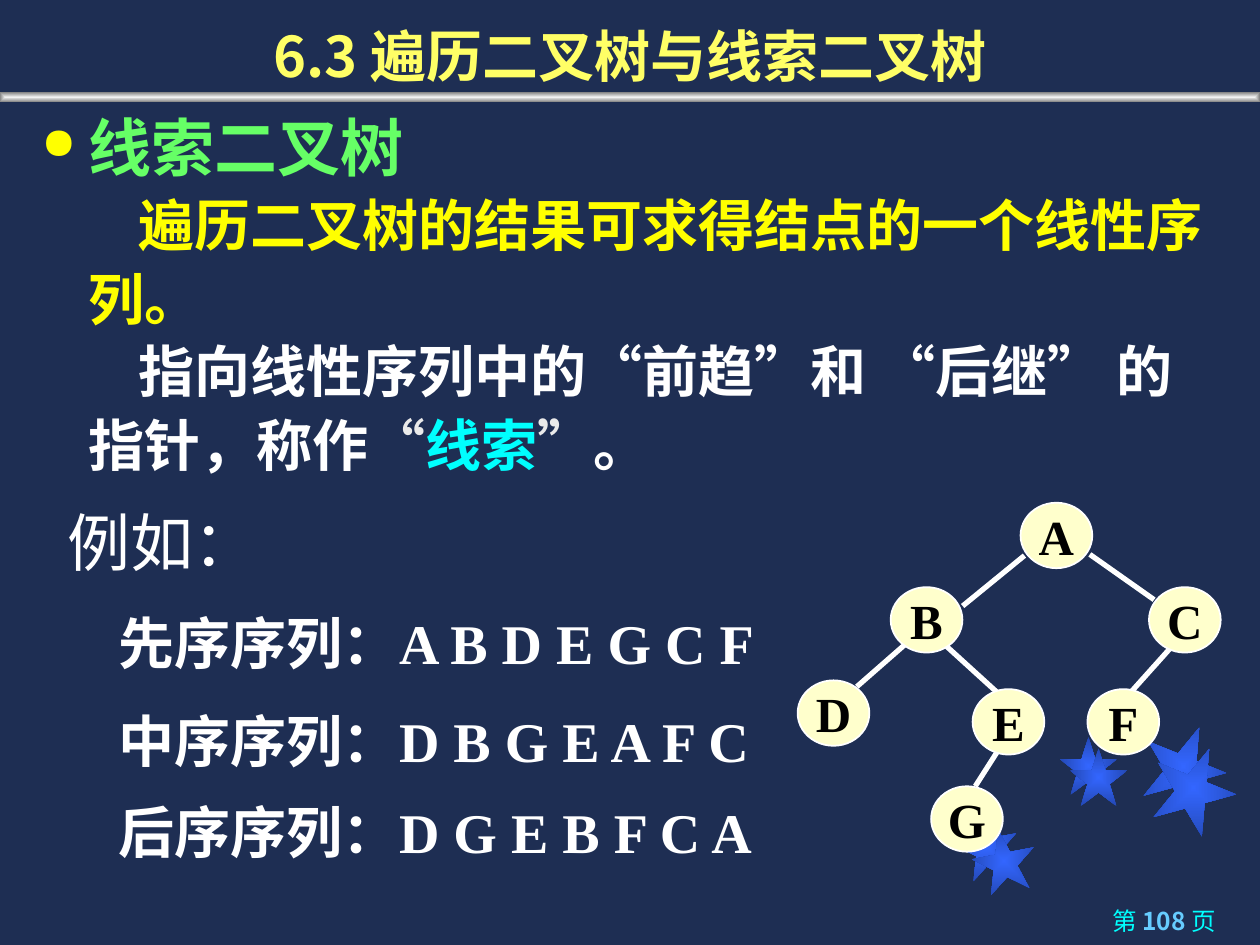
import lxml.etree
import pptx
import pptx.dml.color
import pptx.enum.shapes
import pptx.enum.text
import pptx.oxml
import pptx.oxml.ns
import pptx.util

Pt = pptx.util.Pt
ALIGN = pptx.enum.text.PP_ALIGN
SHAPE = pptx.enum.shapes.MSO_SHAPE
ANCHOR = pptx.enum.text.MSO_ANCHOR
NAMESPACE = 'xmlns:a="http://schemas.openxmlformats.org/drawingml/2006/main"'
CJK_FONT = "Noto Sans CJK SC"


def rgb(color):
    return pptx.dml.color.RGBColor.from_string(color)


def write(paragraph, parts, size, font, bold=True):
    """Fill a paragraph with (text, colour) runs, using the CJK font for Chinese."""
    for text, color in parts:
        run = paragraph.add_run()
        run.text = text
        run.font.name = font
        run.font.size = Pt(size)
        run.font.bold = bold
        run.font.color.rgb = rgb(color)
        east_asian = lxml.etree.SubElement(run.font._element, pptx.oxml.ns.qn("a:ea"))
        east_asian.set("typeface", CJK_FONT)


presentation = pptx.Presentation()
presentation.slide_width = Pt(720)
presentation.slide_height = Pt(540)
slide = presentation.slides.add_slide(presentation.slide_layouts[6])
slide.background.fill.solid()
slide.background.fill.fore_color.rgb = rgb("1E2E53")

# Decorative stars and the rule below the title
decorations = [
    (SHAPE.STAR_5_POINT, left, top, size, size, rotation, "3366FF", "2449B6")
    for left, top, size, rotation in [
        (545.8, 465.8, 36, 349), (605.5, 421.2, 33, 0), (652.3, 414, 48, 22),
        (555.8, 473.8, 36, 349), (611.3, 427.7, 33, 0), (658, 426.2, 48, 22),
    ]
]
decorations.append((SHAPE.RECTANGLE, 0, 52.6, 720, 5.8, 0, "F2F2F2", "808080"))
for preset, left, top, width, height, rotation, inner, outer in decorations:
    shape = slide.shapes.add_shape(preset, Pt(left), Pt(top), Pt(width), Pt(height))
    shape.rotation = rotation
    shape.shadow.inherit = False
    shape.line.fill.background()
    shape.fill.gradient()
    for stop, color in zip(shape.fill.gradient_stops, (inner, outer)):
        stop.color.rgb = rgb(color)
    linear = shape._element.spPr.find(".//" + pptx.oxml.ns.qn("a:lin"))
    linear.getparent().replace(linear, pptx.oxml.parse_xml(
        f'<a:path {NAMESPACE} path="shape">'
        '<a:fillToRect l="50000" t="50000" r="50000" b="50000"/></a:path>'))

# Text boxes: left, top, width, height, alignment, left margin, first-line indent,
# line spacing, size, font, bold, runs
WHITE, YELLOW, CYAN, PALE = "FFFFFF", "FFFF00", "00FFFF", "EAEAEA"
texts = [
    (0, 0, 720, 54, ALIGN.CENTER, 0, 0, 1, 32, CJK_FONT, True,
     [("6.3 遍历二叉树与线索二叉树", "FFFF66")]),
    (16.6, 54, 684, 145.4, ALIGN.LEFT, 27, -27, 1.1, 36, "Arial", True,
     [("线索二叉树", "66FF66")]),
    (16.6, 185, 684, 99.4, ALIGN.LEFT, 27, 28.5, 1.1, 32, "Arial", True,
     [("指向线性序列中的“前趋”和 “后继” 的指针，称作", WHITE), ("“", PALE),
      ("线索", CYAN), ("”", PALE), ("。", WHITE)]),
    (31.7, 284.4, 122.4, 50.4, ALIGN.LEFT, 0, 0, 1, 36, CJK_FONT, False,
     [("例如：", WHITE)]),
    (512.6, 514, 189.4, 26, ALIGN.RIGHT, 0, 0, 1, 14, CJK_FONT, False,
     [("第 ", CYAN), ("108 ", "66CCFF"), ("页", CYAN)]),
]
sequences = [
    (344.2, "先序序列：A B D E G C F"),
    (400.3, "中序序列：D B G E A F C"),
    (452.2, "后序序列：D G E B F C A"),
]
for top, sequence in sequences:
    texts.append((36.7, top, 456, 45.4, ALIGN.LEFT, 24, 0, 1, 32,
                  "Times New Roman", True, [(sequence, WHITE)]))

boxes = []
for (left, top, width, height, alignment, margin, indent, spacing,
     size, font, bold, parts) in texts:
    box = slide.shapes.add_textbox(Pt(left), Pt(top), Pt(width), Pt(height))
    box.text_frame.word_wrap = True
    paragraph = box.text_frame.paragraphs[0]
    paragraph.alignment = alignment
    paragraph.line_spacing = spacing
    properties = paragraph._p.get_or_add_pPr()
    properties.set("marL", str(Pt(margin)))
    properties.set("indent", str(Pt(indent)))
    write(paragraph, parts, size, font, bold)
    boxes.append(box)

title, body, threads, example, page_number = boxes[:5]
title.text_frame.vertical_anchor = ANCHOR.BOTTOM
example.text_frame.word_wrap = False
page_number.text_frame.paragraphs[0].runs[1].font.bold = True

heading = body.text_frame.paragraphs[0]
for bullet in (
    f'<a:buClr {NAMESPACE}><a:srgbClr val="{YELLOW}"/></a:buClr>',
    f'<a:buSzPct {NAMESPACE} val="70000"/>',
    f'<a:buChar {NAMESPACE} char="●"/>',
):
    heading._p.pPr.append(pptx.oxml.parse_xml(bullet))
explanation = body.text_frame.add_paragraph()
explanation.line_spacing = 1.1
properties = explanation._p.get_or_add_pPr()
properties.set("marL", str(Pt(27)))
properties.set("indent", str(Pt(28.5)))
write(explanation, [("遍历二叉树的结果可求得结点的一个线性序列。", YELLOW)], 32, "Arial")

# Binary tree: branches first, nodes on top
branches = [
    (585.4, 317.5, 550.1, 346.3),  # A-B
    (622.8, 316.8, 659.5, 342.7),  # A-C
    (518.4, 367.2, 489.6, 392.4),  # B-D
    (539.3, 367.9, 570.2, 396),    # B-E
    (671, 367.9, 645.8, 396),      # C-F
    (570.2, 429.1, 557.3, 449.3),  # E-G
]
for branch in branches:
    connector = slide.shapes.add_connector(
        pptx.enum.shapes.MSO_CONNECTOR.STRAIGHT, *[Pt(value) for value in branch])
    connector.line.color.rgb = rgb(WHITE)
    connector.line.width = Pt(3)
    lxml.etree.SubElement(connector._element.spPr, pptx.oxml.ns.qn("a:effectLst"))

nodes = {
    "A": (583.2, 287.3), "B": (509, 335.5), "C": (656.6, 335.5), "D": (455.8, 388.8),
    "E": (555.8, 393.8), "F": (621.4, 393.8), "G": (532.1, 449.3),
}
for letter, (left, top) in nodes.items():
    node = slide.shapes.add_shape(SHAPE.OVAL, Pt(left), Pt(top), Pt(41), Pt(37.4))
    node.shadow.inherit = False
    node.fill.solid()
    node.fill.fore_color.rgb = rgb("FFFFCC")
    node.line.color.rgb = rgb(WHITE)
    node.line.width = Pt(1)
    node.text_frame.word_wrap = False
    node.text_frame.vertical_anchor = ANCHOR.MIDDLE
    paragraph = node.text_frame.paragraphs[0]
    paragraph.alignment = ALIGN.CENTER
    write(paragraph, [(letter, "000000")], 28, "Times New Roman")

presentation.save("out.pptx")
